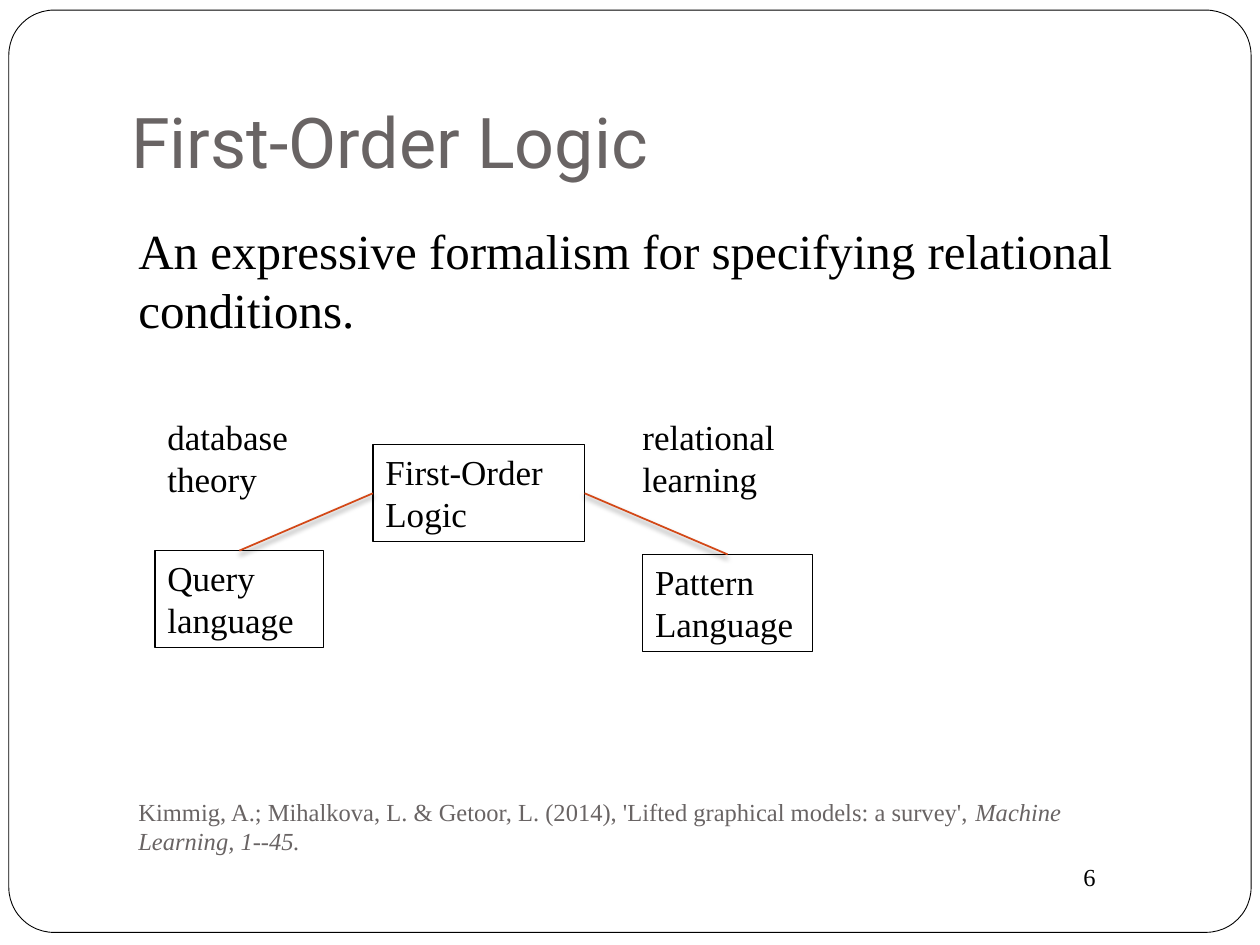
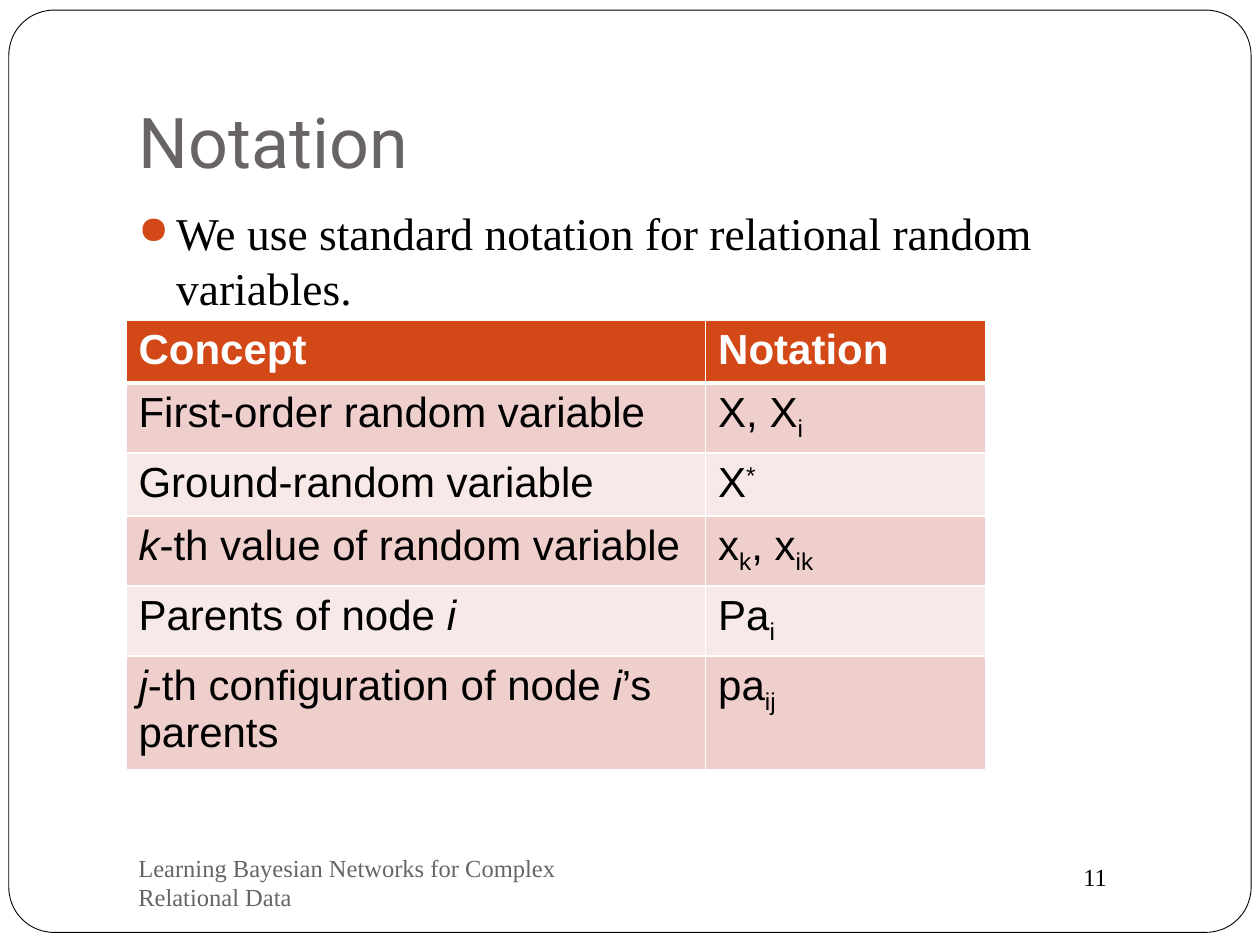
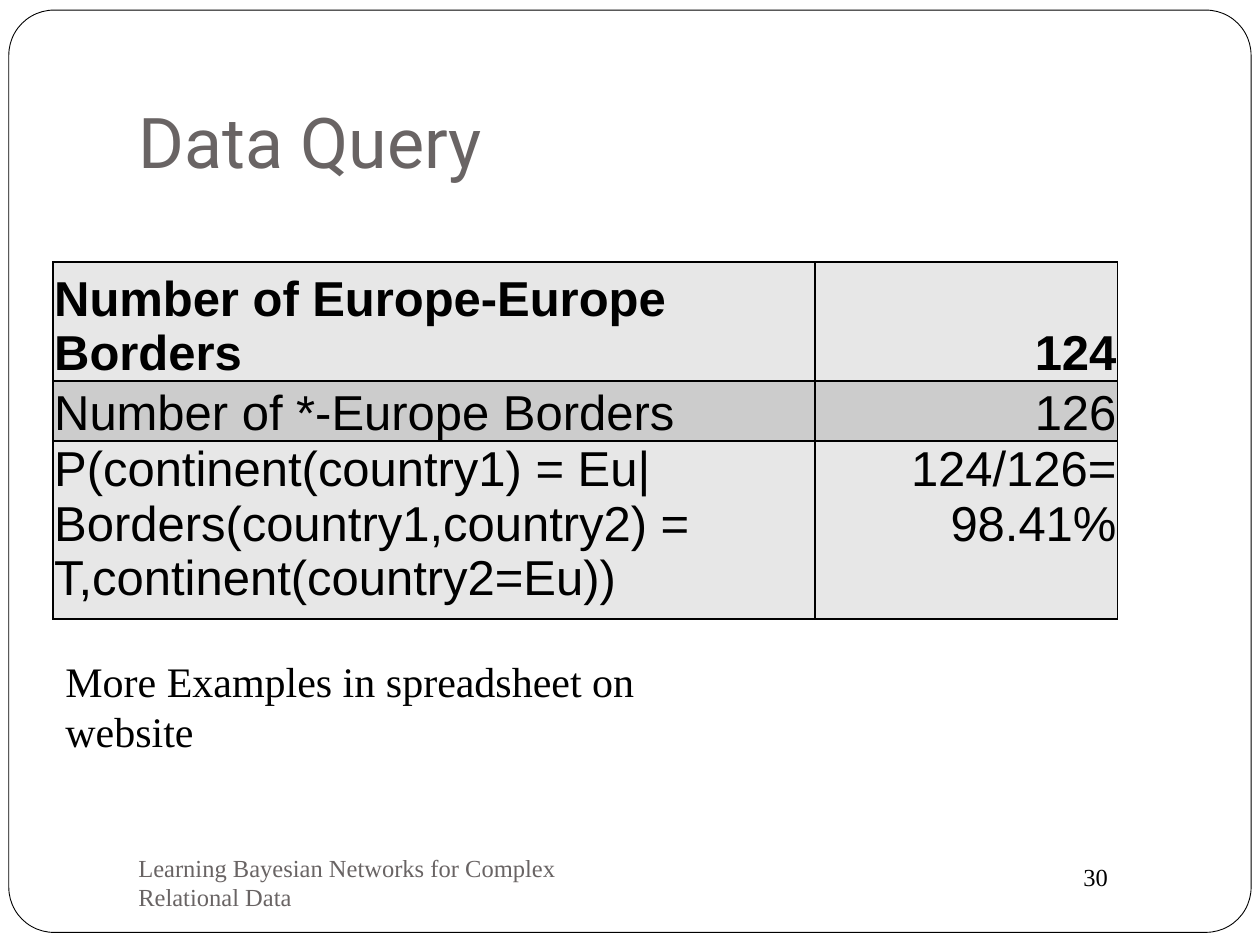
from dataclasses import dataclass

from lxml import etree
from pptx import Presentation
from pptx.dml.color import RGBColor
from pptx.enum.shapes import MSO_CONNECTOR, MSO_SHAPE
from pptx.enum.text import MSO_ANCHOR as ANCHOR, MSO_AUTO_SIZE as AUTO, PP_ALIGN as ALIGN
from pptx.oxml.ns import qn
from pptx.util import Inches, Pt

TOP, LEFT, RIGHT = 0, 1, 3  # connection sites of a rectangle
SHIFTS = {"sub": "-25000", "sup": "30000"}


@dataclass(frozen=True)
class Theme:
    title_font: str = "Roboto"
    body_font: str = "Times New Roman"
    table_font: str = "Arial"
    ink: str = "000000"
    paper: str = "FFFFFF"
    muted: str = "696464"
    accent: str = "D34817"
    pink_bands: tuple = ("EFCFCC", "F7E9E8")
    gray_bands: tuple = ("E7E7E7", "CCCCCC")
    title_size: int = 40
    lead_size: int = 28
    bullet_size: int = 26
    table_size: int = 24
    label_size: int = 20
    small_size: int = 14


def rgb(value):
    return RGBColor.from_string(value)


def sub(parent, tag, **attrs):
    return etree.SubElement(parent, qn(tag), attrs)


class Deck:
    footer_text = "Learning Bayesian Networks for Complex Relational Data"

    def __init__(self, theme):
        self.theme = theme
        self.prs = Presentation()
        self.prs.slide_width, self.prs.slide_height = Inches(10), Inches(7.5)
        self.slide = None

    def new_slide(self, title, number, title_left=1):
        self.slide = self.prs.slides.add_slide(self.prs.slide_layouts[5])
        self.frame()
        self.title(title, title_left)
        self.text(str(number), 8.5, 6.79, 1, 0.34, self.theme.small_size)

    def frame(self):
        shapes = self.slide.shapes
        sp = shapes.add_shape(MSO_SHAPE.ROUNDED_RECTANGLE, Inches(0.07), Inches(0.08),
                              Inches(9.86), Inches(7.32))
        sp.adjustments[0] = 0.049
        self.outline(sp, 0.5)
        sp.fill.solid()
        sp.fill.fore_color.rgb = rgb(self.theme.paper)
        shapes.element.insert(2, sp.element)  # behind the title

    def outline(self, sp, width):
        sp.shadow.inherit = False
        sp.line.color.rgb = rgb(self.theme.ink)
        sp.line.width = Pt(width)

    def title(self, text, left):
        sp = self.slide.shapes.title
        sp.left, sp.top, sp.width, sp.height = map(Inches, (left, 0.3, 8.5, 1.25))
        tf = sp.text_frame
        tf.auto_size = AUTO.NONE
        tf.vertical_anchor = ANCHOR.BOTTOM
        tf.margin_bottom = Inches(0.1)
        self.set_text(tf, text, self.theme.title_size, self.theme.muted, self.theme.title_font)

    def set_text(self, tf, content, size, color=None, font=None, bold=False, align=ALIGN.LEFT):
        """Fill a frame with a string, or with (text, mark) parts; marks are i, sub and sup."""
        if isinstance(content, str):
            tf.text = content
        else:
            for text, mark in content:
                r = tf.paragraphs[0].add_run()
                r.text = text
                r.font.italic = mark == "i"
                if mark in SHIFTS:
                    r._r.get_or_add_rPr().set("baseline", SHIFTS[mark])
        for p in tf.paragraphs:
            p.alignment = align
            for r in p.runs:
                r.font.name = font or self.theme.body_font
                r.font.size = Pt(size)
                r.font.bold = bold
                r.font.color.rgb = rgb(color or self.theme.ink)

    def text(self, content, left, top, width, height, size, color=None,
             anchor=ANCHOR.TOP, before=0):
        sp = self.slide.shapes.add_textbox(*map(Inches, (left, top, width, height)))
        tf = sp.text_frame
        tf.word_wrap = True
        tf.vertical_anchor = anchor
        self.set_text(tf, content, size, color)
        tf.paragraphs[0].space_before = Pt(before)
        return sp

    def bullet(self, content, left, top, width, height):
        sp = self.text(content, left, top, width, height, self.theme.bullet_size, before=5.8)
        pPr = sp.text_frame.paragraphs[0]._p.get_or_add_pPr()
        pPr.set("marL", str(Inches(0.3)))
        pPr.set("indent", str(-Inches(0.3)))
        sub(sub(pPr, "a:buClr"), "a:srgbClr", val=self.theme.accent)
        sub(pPr, "a:buSzPct", val="85000")
        sub(pPr, "a:buChar", char="●")

    def small_print(self, content, top, width):
        self.text(content, 1, top, width, 0.5, self.theme.small_size, self.theme.muted,
                  ANCHOR.MIDDLE)

    def footer(self):
        self.small_print(self.footer_text, 6.75, 4.33)

    def box(self, content, left, top, width):
        sp = self.slide.shapes.add_shape(MSO_SHAPE.RECTANGLE,
                                         *map(Inches, (left, top, width, 0.77)))
        self.outline(sp, 0.75)
        sp.fill.background()
        tf = sp.text_frame
        tf.word_wrap = True
        tf.auto_size = AUTO.SHAPE_TO_FIT_TEXT
        tf.vertical_anchor = ANCHOR.TOP
        self.set_text(tf, content, self.theme.label_size)
        return sp

    def connect(self, start, start_side, end, end_side):
        line = self.slide.shapes.add_connector(MSO_CONNECTOR.STRAIGHT, 0, 0, 0, 0)
        line.begin_connect(start, start_side)
        line.end_connect(end, end_side)
        line.line.color.rgb = rgb(self.theme.accent)
        line.line.width = Pt(1)
        effects = sub(line.element.spPr, "a:effectLst")
        shadow = sub(effects, "a:outerShdw", blurRad=str(Pt(3)), dist=str(Pt(2)),
                     dir="5400000", rotWithShape="0")
        sub(sub(shadow, "a:srgbClr", val=self.theme.ink), "a:alpha", val="50000")

    def table(self, rows, left, top, col_widths, row_heights):
        sp = self.slide.shapes.add_table(len(rows), len(col_widths), Inches(left), Inches(top),
                                         Inches(sum(col_widths)), Inches(sum(row_heights)))
        table = sp.table
        table.first_row = table.horz_banding = False
        for column, width in zip(table.columns, col_widths):
            column.width = Inches(width)
        for row, height in zip(table.rows, row_heights):
            row.height = Inches(height)
        return table

    def cell(self, cell, content, size, fill, border, color=None, bold=False,
             align=ALIGN.LEFT, top=1, bottom=1):
        """Set text, borders and fill of a cell; top and bottom are border widths in points."""
        self.set_text(cell.text_frame, content, size, color, self.theme.table_font, bold, align)
        tcPr = cell._tc.get_or_add_tcPr()
        for side, width in zip("LRTB", (1, 1, top, bottom)):
            ln = sub(tcPr, f"a:ln{side}", w=str(Pt(width)))
            sub(sub(ln, "a:solidFill"), "a:srgbClr", val=border)
        cell.fill.solid()
        cell.fill.fore_color.rgb = rgb(fill)


def first_order_logic(deck):
    theme = deck.theme
    deck.new_slide("First-Order Logic", 6, title_left=0.94)
    deck.small_print([("Kimmig, A.; Mihalkova, L. & Getoor, L. (2014), "
                       "'Lifted graphical models: a survey', ", ""),
                      ("Machine Learning, 1--45.", "i")], 6.31, 7.96)
    deck.text("An expressive formalism for specifying relational conditions.",
              1, 1.7, 7.96, 1.36, theme.lead_size, before=5.8)
    logic = deck.box("First-Order Logic", 2.96, 3.53, 1.68)
    query = deck.box("Query language", 1.23, 4.37, 1.34)
    pattern = deck.box("Pattern Language", 5.1, 4.4, 1.35)
    deck.connect(logic, LEFT, query, TOP)
    deck.connect(logic, RIGHT, pattern, TOP)
    for label, left in (("database theory", 1.23), ("relational learning", 5)):
        deck.text(label, left, 3.25, 1.66, 0.77, theme.label_size)


def notation(deck):
    theme = deck.theme
    deck.new_slide("Notation", 11)
    deck.bullet("We use standard notation for relational random variables.", 1, 1.58, 8.5, 0.78)
    deck.footer()
    rows = [
        ("Concept", "Notation"),
        ("First-order random variable", [("X, X", ""), ("i", "sub")]),
        ("Ground-random variable", [("X", ""), ("*", "sup")]),
        ([("k", "i"), ("-th value of random variable", "")],
         [("x", ""), ("k", "sub"), (", x", ""), ("ik", "sub")]),
        ([("Parents of node ", ""), ("i", "i")], [("Pa", ""), ("i", "sub")]),
        ([("j", "i"), ("-th configuration of node ", ""), ("i", "i"), ("’s parents", "")],
         [("pa", ""), ("ij", "sub")]),
    ]
    table = deck.table(rows, 1, 2.54, (4.6, 2.22), [0.41] * len(rows))
    for i, row in enumerate(rows):
        header = i == 0
        for j, content in enumerate(row):
            deck.cell(table.cell(i, j), content, theme.table_size,
                      theme.accent if header else theme.pink_bands[(i - 1) % 2],
                      theme.paper, theme.paper if header else theme.ink, bold=header,
                      top=3 if i == 1 else 1, bottom=3 if header else 1)


def data_query(deck):
    theme = deck.theme
    deck.new_slide("Data Query", 30)
    deck.footer()
    rows = [
        ("Number of Europe-Europe Borders", "124"),
        ("Number of *-Europe Borders", "126"),
        ("P(continent(country1) = Eu|Borders(country1,country2) = T,continent(country2=Eu))",
         "124/126=\n98.41%"),
    ]
    table = deck.table(rows, 0.42, 2.08, (6.05, 2.4), (0.09, 0.41, 0.41))
    for i, row in enumerate(rows):
        for j, content in enumerate(row):
            cell = table.cell(i, j)
            cell.margin_left = cell.margin_right = cell.margin_top = Inches(0.01)
            cell.margin_bottom = 0
            cell.vertical_anchor = ANCHOR.TOP if i == 2 else ANCHOR.BOTTOM
            deck.cell(cell, content, theme.lead_size, theme.gray_bands[i % 2], theme.ink,
                      bold=i == 0, align=ALIGN.RIGHT if j else ALIGN.LEFT)
    deck.text("More Examples in spreadsheet on website", 0.42, 5.15, 5.25, 0.5,
              theme.table_size)


def main():
    deck = Deck(Theme())
    first_order_logic(deck)
    notation(deck)
    data_query(deck)
    deck.prs.save("out.pptx")


if __name__ == "__main__":
    main()
